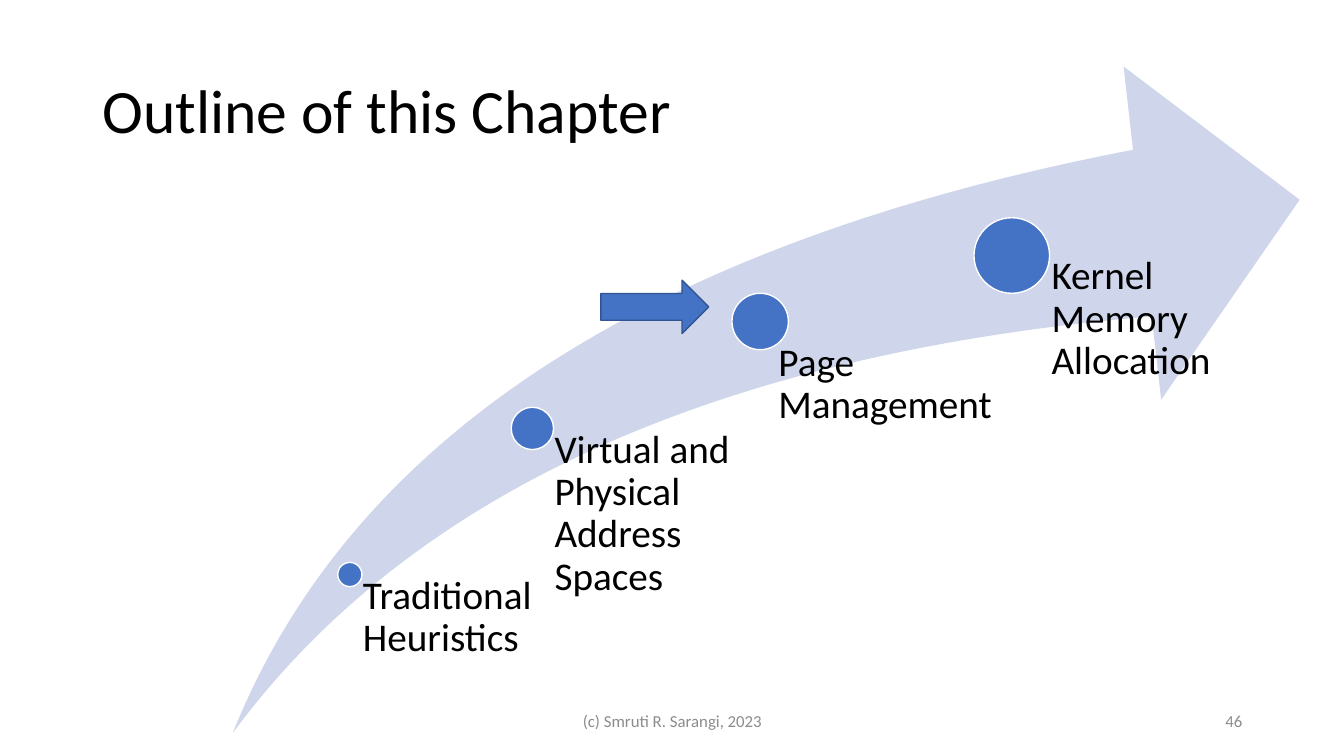
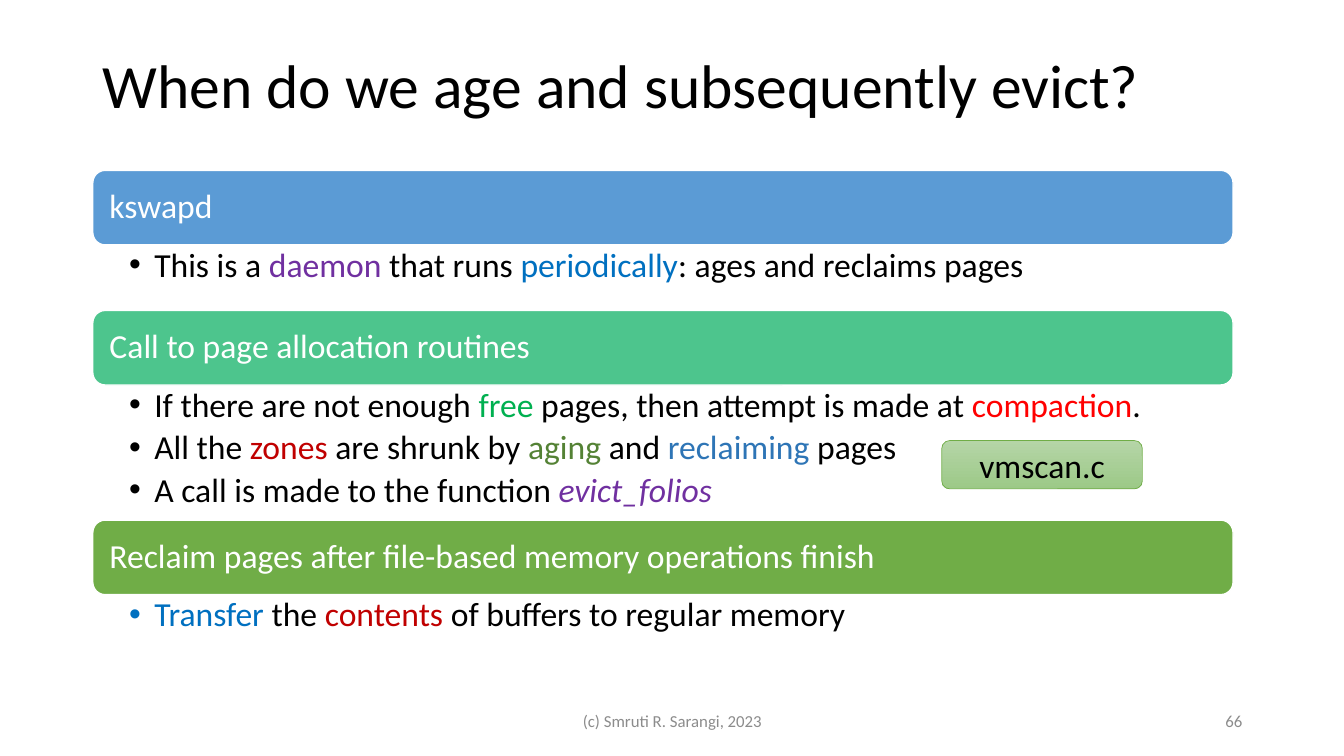
from lxml.etree import SubElement
from pptx import Presentation
from pptx.dml.color import RGBColor
from pptx.enum.shapes import MSO_SHAPE
from pptx.enum.text import MSO_ANCHOR, PP_ALIGN
from pptx.oxml.ns import qn
from pptx.util import Inches, Pt

FONT = "Calibri"
BLACK, WHITE, GREY, BLUE = "000000", "FFFFFF", "8C8C8C", "4472C4"
PURPLE, SKY, RED = "7030A0", "0070C0", "C00000"
MIDDLE = MSO_ANCHOR.MIDDLE


def add_box(s, left, top, width, height, kind=None, fill=None, line=None, weight=1):
    """Add a text box, or a preset shape when a kind is given."""
    box = [Inches(v) for v in (left, top, width, height)]
    if kind is None:
        return s.shapes.add_textbox(*box)
    sp = s.shapes.add_shape(kind, *box)
    sp.shadow.inherit = False
    if fill:
        sp.fill.solid()
        sp.fill.fore_color.rgb = RGBColor.from_string(fill)
    if line:
        sp.line.color.rgb = RGBColor.from_string(line)
        sp.line.width = Pt(weight)
    else:
        sp.line.fill.background()
    return sp


def write(sp, paragraphs, size, color=BLACK, anchor=MSO_ANCHOR.TOP, align=PP_ALIGN.LEFT,
          insets=(0.1, 0.05, 0.1, 0.05), spacing=0.9, after=0, bullet=False):
    """Fill a shape; a paragraph is a string or a list of (text, colour, italic)."""
    tf = sp.text_frame
    tf.word_wrap = True
    tf.vertical_anchor = anchor
    tf.margin_left, tf.margin_top, tf.margin_right, tf.margin_bottom = map(Inches, insets)
    for i, content in enumerate(paragraphs):
        p = tf.add_paragraph() if i else tf.paragraphs[0]
        if bullet:
            pPr = p._p.get_or_add_pPr()
            pPr.set("marL", str(Inches(0.25)))
            pPr.set("indent", str(-Inches(0.25)))
            SubElement(pPr, qn("a:buFont")).set("typeface", "Arial")
            SubElement(pPr, qn("a:buChar")).set("char", "•")
        p.alignment = align
        p.line_spacing = spacing
        p.space_after = Pt(after)
        if isinstance(content, str):
            p.text = content
            colors = [color] * len(p.runs)
        else:
            colors = []
            for text, run_color, *italic in content:
                r = p.add_run()
                r.text = text
                r.font.italic = True if italic else None
                colors.append(run_color)
        for r, run_color in zip(p.runs, colors):
            r.font.name = FONT
            r.font.size = Pt(size)
            r.font.color.rgb = RGBColor.from_string(run_color)


prs = Presentation()
prs.slide_width, prs.slide_height = Inches(13.33), Inches(7.5)

# Title and footer of every slide
slides = []
for title, top, number in [("Outline of this Chapter", 0.4, "46"),
                           ("When do we age and subsequently evict?", 0.15, "66")]:
    s = prs.slides.add_slide(prs.slide_layouts[6])
    write(add_box(s, 0.92, top, 11.5, 1.45), [title], 44, anchor=MIDDLE)
    write(add_box(s, 4.42, 6.95, 4.5, 0.4), ["(c) Smruti R. Sarangi, 2023"], 12, GREY,
          MIDDLE, PP_ALIGN.CENTER, spacing=1)
    write(add_box(s, 9.42, 6.95, 3, 0.4), [number], 12, GREY, MIDDLE, PP_ALIGN.RIGHT, spacing=1)
    slides.append(s)
outline, evict = slides

# Outline: swoosh with milestones
swoosh = add_box(outline, 2.31, 0.66, 10.58, 6.61, MSO_SHAPE.SWOOSH_ARROW, "CFD5EA")
swoosh.adjustments[0] = swoosh.adjustments[1] = 0.25

milestones = [  # dot left, top, diameter; label box; label inset; label
    (3.35, 5.58, 0.24, (3.47, 5.71, 1.81, 1.57), 0.13, "Traditional Heuristics"),
    (5.07, 4.04, 0.42, (5.28, 4.26, 2.22, 3.02), 0.22, "Virtual and Physical Address Spaces"),
    (7.26, 2.91, 0.56, (7.42, 3.4, 3.75, 3.4), 0.3, "Page\vManagement"),
    (9.66, 2.16, 0.75, (10.03, 2.54, 2.22, 4.74), 0.4, "Kernel Memory Allocation"),
]
for left, top, size, label_box, inset, label in milestones:
    add_box(outline, left, top, size, size, MSO_SHAPE.OVAL, BLUE, WHITE)
    write(add_box(outline, *label_box), [label], 28, insets=(inset, 0, 0, 0))

# Outline: marker of the current part
add_box(outline, 5.96, 2.78, 1.07, 0.53, MSO_SHAPE.RIGHT_ARROW, BLUE, "325491")

# Eviction: coloured bars with bullets below
sections = [  # bar colour, heading, height of the bullets, bullets
    ("5B9BD5", "kswapd", 0.65, [
        [("This is a ", BLACK), ("daemon", PURPLE), (" that runs ", BLACK),
         ("periodically", SKY), (": ages and reclaims pages", BLACK)]]),
    ("4DC58D", "Call to page allocation routines", 1.34, [
        [("If there are not enough ", BLACK), ("free", "00B050"),
         (" pages, then attempt is made at ", BLACK), ("compaction", "FF0000"), (".", BLACK)],
        [("All the ", BLACK), ("zones", RED), (" are shrunk by ", BLACK), ("aging", "548235"),
         (" and ", BLACK), ("reclaiming", "2E75B6"), (" pages", BLACK)],
        [("A call is made to the function ", BLACK), ("evict_folios", PURPLE, True)]]),
    ("70AD47", "Reclaim pages after file-based memory operations finish", 0.65, [
        [("Transfer", SKY), (" the ", BLACK), ("contents", RED),
         (" of buffers to regular memory", BLACK)]]),
]
top, bar_height = 1.69, 0.74
for color, heading, height, bullets in sections:
    bar = add_box(evict, 0.92, top, 11.31, bar_height, MSO_SHAPE.ROUNDED_RECTANGLE, color, WHITE)
    write(bar, [heading], 24, WHITE, MIDDLE, insets=(0.13, 0.1, 0.13, 0.1))
    top += bar_height
    write(add_box(evict, 0.92, top, 11.31, height), bullets, 24,
          insets=(0.36, 0.03, 0.19, 0.03), after=4.5, bullet=True)
    top += height

# Eviction: source file tag
tag = add_box(evict, 9.34, 4.37, 1.99, 0.48, MSO_SHAPE.ROUNDED_RECTANGLE, line="70AD47", weight=0.5)
tag.fill.gradient()
tag.fill.gradient_angle = 270
for stop, color in zip(tag.fill.gradient_stops, ("B5D5A7", "9CC987")):
    stop.color.rgb = RGBColor.from_string(color)
write(tag, ["vmscan.c"], 24, anchor=MIDDLE, align=PP_ALIGN.CENTER, spacing=1)

prs.save("out.pptx")
